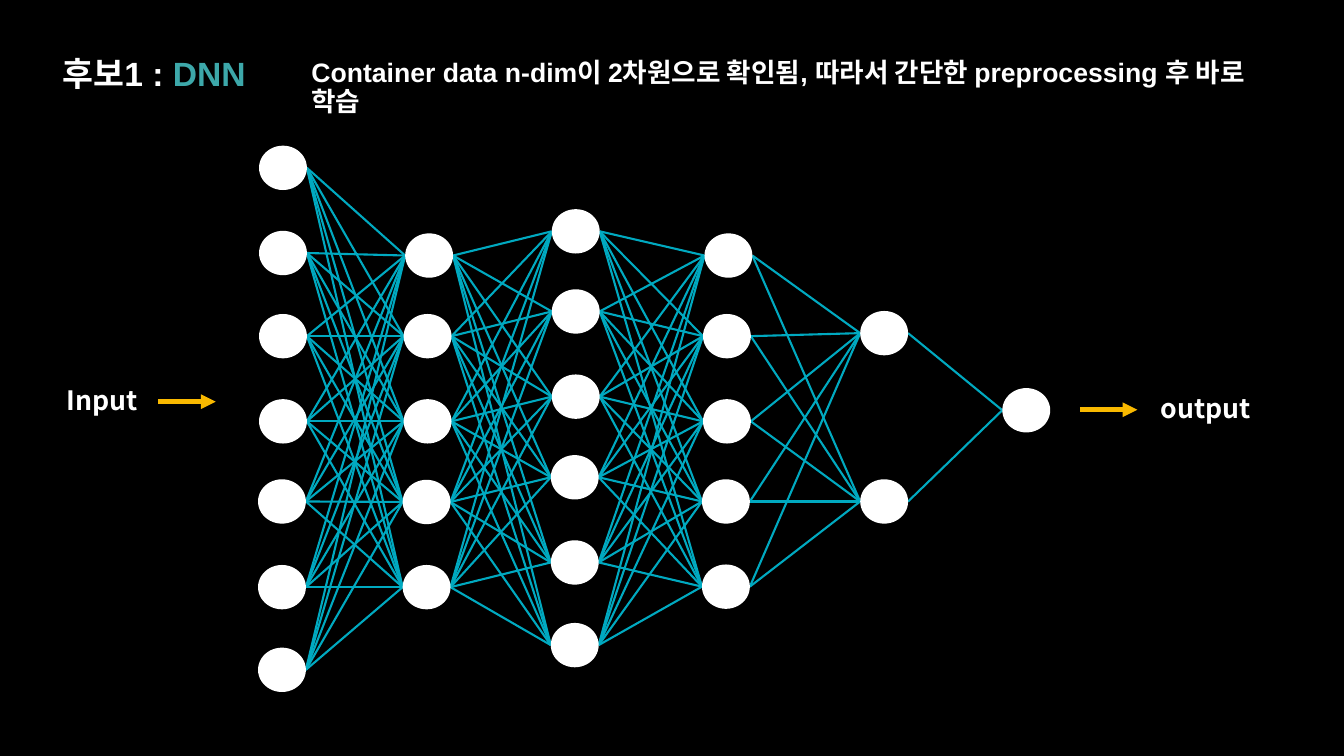
"""Build a slide showing a fully connected deep neural network."""
from itertools import pairwise, product

from lxml.etree import SubElement
from pptx import Presentation
from pptx.dml.color import RGBColor
from pptx.enum.shapes import MSO_CONNECTOR as Connector, MSO_SHAPE as Shape
from pptx.enum.text import MSO_ANCHOR as Anchor, MSO_AUTO_SIZE as AutoSize, PP_ALIGN as Align
from pptx.oxml.ns import qn
from pptx.util import Inches, Pt

COLORS = {
    "background": "000000",
    "white": "FFFFFF",
    "teal": "3DA8AA",
    "link": "00A9C0",
    "arrow": "F9B900",
}
HANGUL_FONT = "Noto Sans CJK KR"
NODE_WIDTH, NODE_HEIGHT = 0.95, 0.88

TITLE = {
    "box": (1.14, 1.1, 4.55, 0.85),
    "runs": [("후보1 : ", "white"), ("DNN", "teal")],
    "size": 48,
    "font": "Arial",
}
TEXTS = [
    {
        "box": (1.23, 7.63, 1.9, 0.68),
        "runs": [("Input", "white")],
        "size": 38,
        "font": HANGUL_FONT,
    },
    {
        "box": (22.94, 7.8, 2.16, 0.68),
        "runs": [("output", "white")],
        "size": 38,
        "font": HANGUL_FONT,
    },
    {
        "box": (6.08, 1.14, 19.53, 0.69),
        "runs": [("Container data n-dim이 2차원으로 확인됨, 따라서 간단한 "
                  "preprocessing 후 바로 학습", "white")],
        "size": 38,
        "font": "Arial",
    },
]
ARROWS = [(3.14, 7.97), (21.43, 8.13)]
ARROW_LENGTH = 1.14

LAYERS = [
    [(5.14, 2.89), (5.14, 4.58), (5.14, 6.23), (5.14, 7.92),
     (5.12, 9.51), (5.12, 11.21), (5.12, 12.85)],
    [(8.04, 4.63), (8.01, 6.23), (8.01, 7.92), (7.99, 9.52), (7.99, 11.21)],
    [(10.95, 4.15), (10.95, 5.74), (10.95, 7.43),
     (10.93, 9.03), (10.93, 10.72), (10.93, 12.36)],
    [(13.98, 4.63), (13.95, 6.23), (13.95, 7.92), (13.93, 9.51), (13.93, 11.2)],
    [(17.07, 6.17), (17.07, 9.51)],
    [(19.89, 7.7)],
]


def color(name):
    return RGBColor.from_string(COLORS[name])


def write_text(shape, text):
    shape.left, shape.top, shape.width, shape.height = map(Inches, text["box"])
    frame = shape.text_frame
    frame_format = {
        "word_wrap": True,
        "auto_size": AutoSize.SHAPE_TO_FIT_TEXT,
        "vertical_anchor": Anchor.TOP,
        "margin_left": Inches(0.1),
        "margin_right": Inches(0.1),
        "margin_top": Inches(0.05),
        "margin_bottom": Inches(0.05),
    }
    for name, value in frame_format.items():
        setattr(frame, name, value)
    paragraph = frame.paragraphs[0]
    paragraph_format = {"alignment": Align.LEFT, "line_spacing": 0.9, "space_before": Pt(45)}
    for name, value in paragraph_format.items():
        setattr(paragraph, name, value)
    for content, color_name in text["runs"]:
        run = paragraph.add_run()
        run.text = content
        font_format = {"name": text["font"], "size": Pt(text["size"]), "bold": True}
        for name, value in font_format.items():
            setattr(run.font, name, value)
        run.font.color.rgb = color(color_name)
        SubElement(run.font._element, qn("a:ea"), typeface=HANGUL_FONT)


def add_line(shapes, start, end, color_name, width):
    connector = shapes.add_connector(Connector.STRAIGHT, *map(Inches, (*start, *end)))
    connector.line.color.rgb = color(color_name)
    connector.line.width = Pt(width)
    SubElement(connector._element.spPr, qn("a:effectLst"))
    return connector


def add_node(shapes, left, top):
    node = shapes.add_shape(Shape.OVAL, *map(Inches, (left, top, NODE_WIDTH, NODE_HEIGHT)))
    node.shadow.inherit = False
    node.fill.solid()
    node.fill.fore_color.rgb = color("white")
    node.line.fill.background()


def add_network(shapes):
    middle = NODE_HEIGHT / 2
    for sources, targets in pairwise(LAYERS):
        for (left, top), (next_left, next_top) in product(sources, targets):
            start = (left + NODE_WIDTH, top + middle)
            add_line(shapes, start, (next_left, next_top + middle), "link", 3)
    for layer in LAYERS:
        for left, top in layer:
            add_node(shapes, left, top)


presentation = Presentation()
presentation.slide_width, presentation.slide_height = Inches(26.67), Inches(15)
slide = presentation.slides.add_slide(presentation.slide_layouts[5])
slide.background.fill.solid()
slide.background.fill.fore_color.rgb = color("background")

write_text(slide.shapes.title, TITLE)
add_network(slide.shapes.add_group_shape().shapes)
for text in TEXTS:
    write_text(slide.shapes.add_textbox(0, 0, 0, 0), text)
for left, top in ARROWS:
    arrow = add_line(slide.shapes, (left, top), (left + ARROW_LENGTH, top), "arrow", 7)
    SubElement(arrow.line._get_or_add_ln(), qn("a:tailEnd"), type="triangle")

presentation.save("out.pptx")
